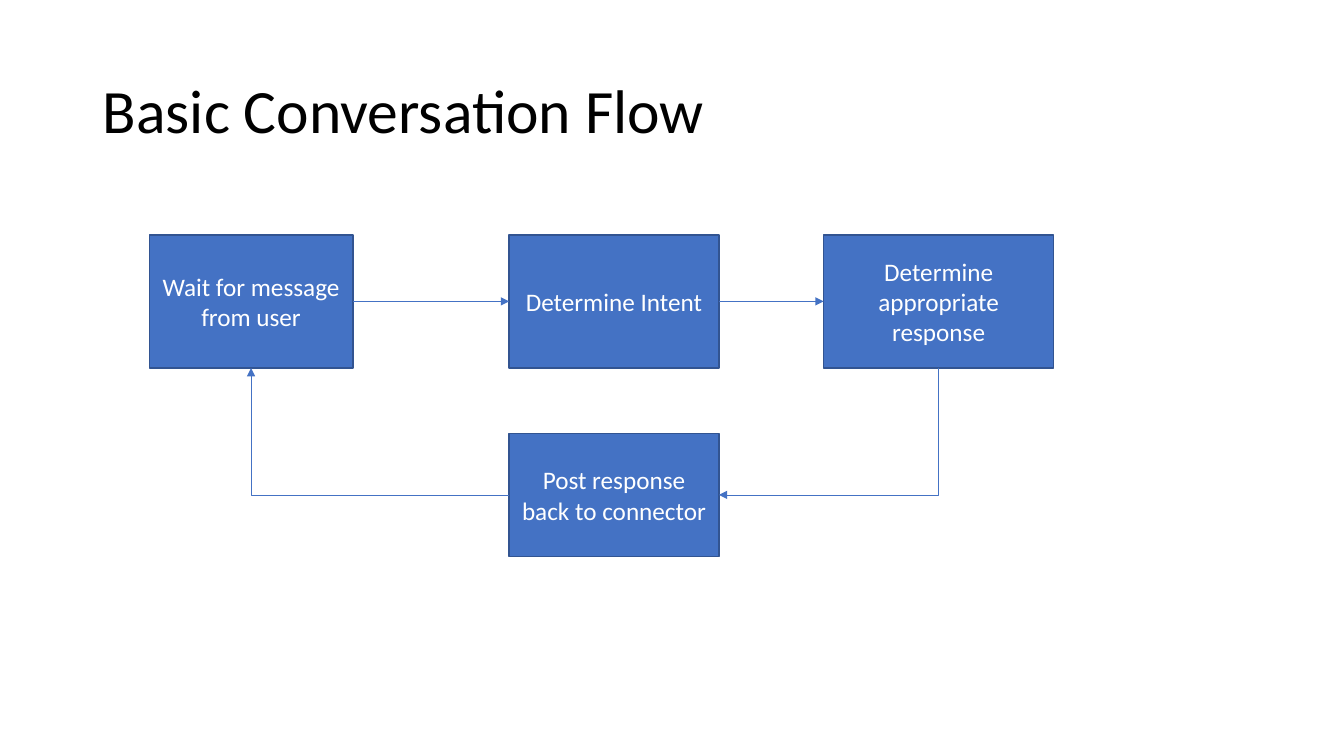
"""Build the Basic Conversation Flow slide."""
from lxml import etree
from pptx import Presentation
from pptx.dml.color import RGBColor
from pptx.enum.shapes import MSO_CONNECTOR, MSO_SHAPE
from pptx.enum.text import MSO_ANCHOR, MSO_AUTO_SIZE, PP_ALIGN
from pptx.oxml.ns import qn
from pptx.util import Emu, Pt

BLUE = RGBColor(0x44, 0x72, 0xC4)
NAVY = RGBColor(0x32, 0x54, 0x91)
WHITE = RGBColor(0xFF, 0xFF, 0xFF)
BLACK = RGBColor(0x00, 0x00, 0x00)
RECT = MSO_SHAPE.RECTANGLE
LINE, ELBOW = MSO_CONNECTOR.STRAIGHT, MSO_CONNECTOR.ELBOW
MIDDLE = MSO_ANCHOR.MIDDLE
NO_FIT = MSO_AUTO_SIZE.NONE
LEFT, CENTER = PP_ALIGN.LEFT, PP_ALIGN.CENTER
TOP_SITE, LEFT_SITE, LOW_SITE, RIGHT_SITE = range(4)
PX = 9144


def px(n):
    return Emu(n * PX)


def write(shape, text, size, color, align):
    frame = shape.text_frame
    frame.text = text
    frame.word_wrap = True
    frame.auto_size = NO_FIT
    frame.vertical_anchor = MIDDLE
    par = frame.paragraphs[0]
    par.alignment = align
    font = par.runs[0].font
    font.name = "Calibri"
    font.size = Pt(size)
    font.color.rgb = color
    return par


deck = Presentation()
deck.slide_width, deck.slide_height = px(1333), px(750)
slide = deck.slides.add_slide(deck.slide_layouts[5])
shapes = slide.shapes

title = shapes.title
title.left, title.top, title.width, title.height = px(92), px(40), px(1150), px(145)
write(title, "Basic Conversation Flow", 44, BLACK, LEFT).line_spacing = 0.9

steps = [
    ("Wait for message from user", 148, 233, 202, 132),
    ("Determine Intent", 505, 233, 208, 132),
    ("Determine appropriate response", 817, 233, 228, 132),
    ("Post response back to connector", 505, 430, 208, 122),
]
boxes = []
for text, *place in steps:
    box = shapes.add_shape(RECT, *[px(n) for n in place])
    box.shadow.inherit = False
    box.fill.solid()
    box.fill.fore_color.rgb = BLUE
    box.line.color.rgb = NAVY
    box.line.width = Pt(1)
    write(box, text, 18, WHITE, CENTER)
    boxes.append(box)

wait, intent, reply, post = boxes
links = [
    (wait, RIGHT_SITE, intent, LEFT_SITE, 0),
    (intent, RIGHT_SITE, reply, LEFT_SITE, 0),
    (reply, LOW_SITE, post, RIGHT_SITE, 90),
    (post, LEFT_SITE, wait, LOW_SITE, 180),
]
for start, site, end, goal, turn in links:
    link = shapes.add_connector(ELBOW if turn else LINE, 0, 0, 0, 0)
    link.begin_connect(start, site)
    link.end_connect(end, goal)
    link.line.color.rgb = BLUE
    link.line.width = Pt(0.5)
    props = link._element.spPr
    tail = etree.SubElement(props.find(qn("a:ln")), qn("a:tailEnd"))
    tail.set("type", "triangle")
    etree.SubElement(props, qn("a:effectLst"))
    if turn:
        mid_x = (link.begin_x + link.end_x) // 2
        mid_y = (link.begin_y + link.end_y) // 2
        wide, high = link.width, link.height
        if turn == 90:
            wide, high = high, wide
        link.left, link.top = mid_x - wide // 2, mid_y - high // 2
        link.width, link.height = wide, high
        frame = props.find(qn("a:xfrm"))
        frame.attrib.clear()
        frame.set("rot", str(turn * 60000))
        props.find(qn("a:prstGeom")).set("prst", "bentConnector2")

deck.save("out.pptx")
